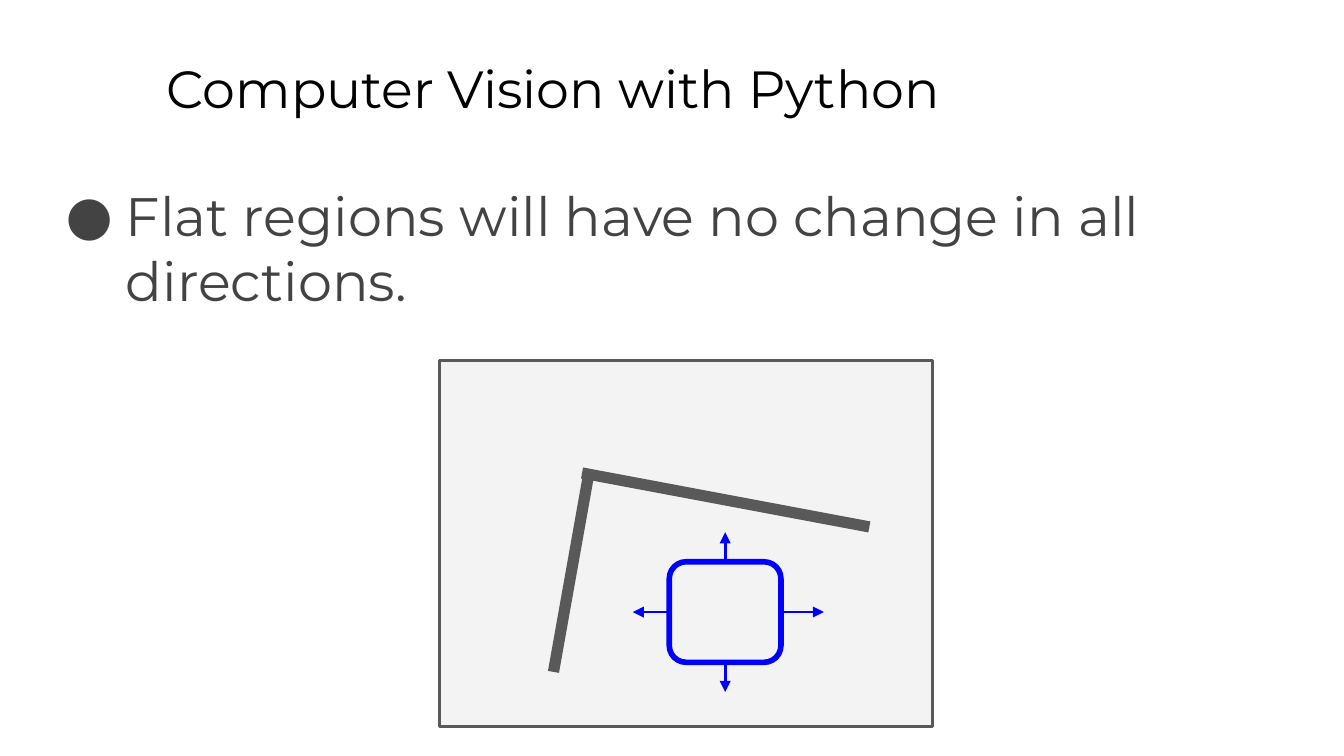
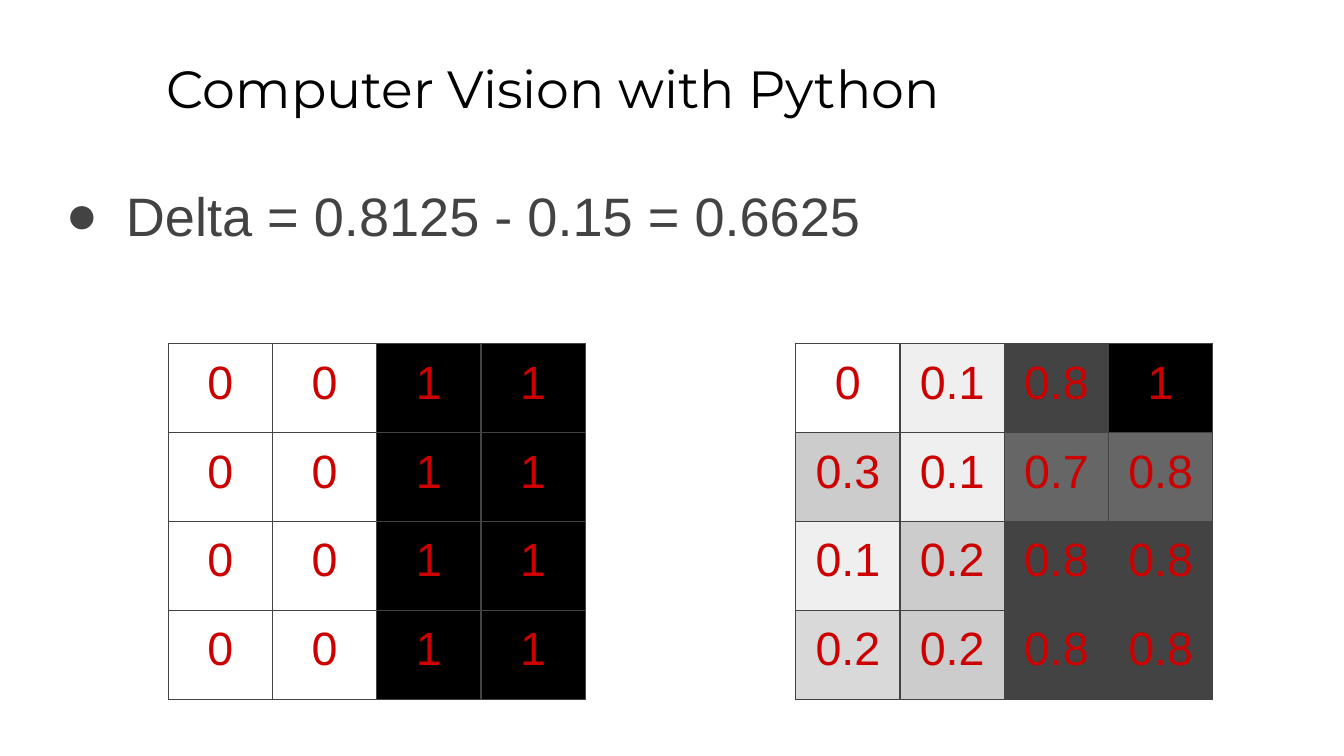
from dataclasses import dataclass

from lxml import etree
from pptx import Presentation
from pptx.dml.color import RGBColor
from pptx.enum.shapes import MSO_CONNECTOR, MSO_SHAPE
from pptx.enum.text import MSO_ANCHOR, PP_ALIGN
from pptx.oxml.ns import qn
from pptx.util import Cm, Pt

STRAIGHT = MSO_CONNECTOR.STRAIGHT
RECTANGLE, ROUNDED = MSO_SHAPE.RECTANGLE, MSO_SHAPE.ROUNDED_RECTANGLE
TOP, CENTER = MSO_ANCHOR.TOP, PP_ALIGN.CENTER
INSET = Cm(0.25)
MARGINS = {f"margin_{side}": INSET for side in ("left", "right", "top", "bottom")}


@dataclass(frozen=True)
class Theme:
    heading_font: str = "Montserrat"
    number_font: str = "Arial"
    title_size: int = 28
    body_size: int = 29
    cell_size: int = 25
    black: str = "000000"
    body: str = "434343"
    edge: str = "595959"
    image: str = "F3F3F3"
    window: str = "0000FF"
    value: str = "CC0000"
    grid_width: float = 0.75


THEME = Theme()


# Geometry in centimetres
@dataclass(frozen=True)
class Area:
    left: float
    top: float
    width: float
    height: float

    def lengths(self):
        return [Cm(n) for n in (self.left, self.top, self.width, self.height)]


@dataclass(frozen=True)
class Segment:
    start: tuple[float, float]
    end: tuple[float, float]
    color: str
    weight: float
    arrow: bool = False


@dataclass(frozen=True)
class Reach:
    """An arrow leaving one side of the window."""
    site: int
    dx: float
    dy: float


@dataclass(frozen=True)
class PixelGrid:
    left: float
    values: list[str]
    fills: list[str]


TITLE_AREA = Area(2.9, 0.81, 21.64, 1.6)
BODY_AREA = Area(0.86, 3.2, 24.13, 9.5)
IMAGE_AREA = Area(8.31, 6.81, 9.32, 6.93)
WINDOW_AREA = Area(12.65, 10.62, 2.11, 1.9)
GRID_TOP, COLUMN_WIDTH, ROW_HEIGHT = 6.5, 1.97, 1.68

EDGES = [
    Segment((11.13, 8.94), (10.46, 12.7), THEME.edge, 6),
    Segment((11, 8.94), (16.43, 9.96), THEME.edge, 6),
]
REACHES = [Reach(1, -0.69, 0), Reach(0, 0, -0.56),
           Reach(3, 0.81, 0), Reach(2, 0, 0.56)]

# Pixel shades; "-" stays unfilled
SHADES = {"a": "EFEFEF", "b": "D9D9D9", "c": "CCCCCC",
          "d": "666666", "e": "434343", "k": "000000"}
GRIDS = [
    PixelGrid(3.18, ["0 0 1 1"] * 4, ["--kk"] * 4),
    PixelGrid(15.04,
              ["0 0.1 0.8 1", "0.3 0.1 0.7 0.8", "0.1 0.2 0.8 0.8", "0.2 0.2 0.8 0.8"],
              ["-aek", "cadd", "acee", "bcee"]),
]


def set_all(target, values: dict) -> None:
    for name, value in values.items():
        setattr(target, name, value)


def write(para, text: str, font: str, size: int, color: str) -> None:
    span = para.add_run()
    span.text = text
    set_all(span.font, {"name": font, "size": Pt(size)})
    span.font.color.rgb = RGBColor.from_string(color)


def add_child(parent, tag: str, **attributes: str):
    return etree.SubElement(parent, qn(tag), attributes)


def add_text_box(page, area: Area):
    box = page.shapes.add_textbox(*area.lengths())
    set_all(box.text_frame, {"word_wrap": True, "vertical_anchor": TOP, **MARGINS})
    return box.text_frame.paragraphs[0]


def add_page(deck, statement: str, font: str):
    """Start a page with the shared title and one bullet."""
    page = deck.slides.add_slide(deck.slide_layouts[6])
    write(add_text_box(page, TITLE_AREA), "Computer Vision with Python",
          THEME.heading_font, THEME.title_size, THEME.black)

    para = add_text_box(page, BODY_AREA)
    properties = para._p.get_or_add_pPr()
    properties.set("marL", str(Cm(1.27)))
    properties.set("indent", str(Cm(-1.14)))
    add_child(add_child(properties, "a:buClr"), "a:srgbClr", val=THEME.body)
    add_child(properties, "a:buFont", typeface=font)
    add_child(properties, "a:buChar", char="●")
    write(para, statement, font, THEME.body_size, THEME.body)
    return page


def add_outline(page, kind, area: Area, color: str, weight: float, fill: str = ""):
    shape = page.shapes.add_shape(kind, *area.lengths())
    shape.shadow.inherit = False
    if fill:
        shape.fill.solid()
        shape.fill.fore_color.rgb = RGBColor.from_string(fill)
    else:
        shape.fill.background()
    shape.line.color.rgb = RGBColor.from_string(color)
    shape.line.width = Pt(weight)
    return shape


def add_segment(page, segment: Segment):
    ends = [Cm(n) for n in (*segment.start, *segment.end)]
    line = page.shapes.add_connector(STRAIGHT, *ends)
    line.line.color.rgb = RGBColor.from_string(segment.color)
    line.line.width = Pt(segment.weight)
    if segment.arrow:
        add_child(line.line._get_or_add_ln(), "a:tailEnd", type="triangle")
    add_child(line._element.spPr, "a:effectLst")
    return line


def add_reach(page, window, reach: Reach) -> None:
    area = WINDOW_AREA
    x = area.left + area.width * {1: 0, 3: 1}.get(reach.site, 0.5)
    y = area.top + area.height * {0: 0, 2: 1}.get(reach.site, 0.5)
    arrow = add_segment(page, Segment((x, y), (x + reach.dx, y + reach.dy),
                                      THEME.window, 1.5, arrow=True))
    arrow.begin_connect(window, reach.site)


def style_cell(cell, text: str, shade: str) -> None:
    set_all(cell, {"vertical_anchor": TOP, **MARGINS})
    properties = cell._tc.get_or_add_tcPr()
    for side in "LRTB":
        border = add_child(properties, f"a:ln{side}", w=str(Pt(THEME.grid_width)))
        add_child(add_child(border, "a:solidFill"), "a:srgbClr", val=THEME.body)
    if shade in SHADES:
        cell.fill.solid()
        cell.fill.fore_color.rgb = RGBColor.from_string(SHADES[shade])
    else:
        cell.fill.background()
    para = cell.text_frame.paragraphs[0]
    para.alignment = CENTER
    write(para, text, THEME.number_font, THEME.cell_size, THEME.value)


def add_pixel_grid(page, grid: PixelGrid) -> None:
    rows = [row.split() for row in grid.values]
    area = Area(grid.left, GRID_TOP, COLUMN_WIDTH * len(rows[0]), ROW_HEIGHT * len(rows))
    table = page.shapes.add_table(len(rows), len(rows[0]), *area.lengths()).table
    set_all(table, {"first_row": False, "horz_banding": False})
    for column in table.columns:
        column.width = Cm(COLUMN_WIDTH)
    for row, texts, shades in zip(table.rows, rows, grid.fills):
        row.height = Cm(ROW_HEIGHT)
        for cell, text, shade in zip(row.cells, texts, shades):
            style_cell(cell, text, shade)


def main() -> None:
    deck = Presentation()
    set_all(deck, {"slide_width": Cm(25.4), "slide_height": Cm(14.29)})

    # Flat region: a window away from the edges
    page = add_page(deck, "Flat regions will have no change in all directions.",
                    THEME.heading_font)
    add_outline(page, RECTANGLE, IMAGE_AREA, THEME.edge, 1.5, THEME.image)
    for edge in EDGES:
        add_segment(page, edge)
    window = add_outline(page, ROUNDED, WINDOW_AREA, THEME.window, 3)
    for reach in REACHES:
        add_reach(page, window, reach)

    # Delta: ideal and measured pixel values
    page = add_page(deck, "Delta = 0.8125 - 0.15 = 0.6625", THEME.number_font)
    for grid in GRIDS:
        add_pixel_grid(page, grid)

    deck.save("out.pptx")


if __name__ == "__main__":
    main()
